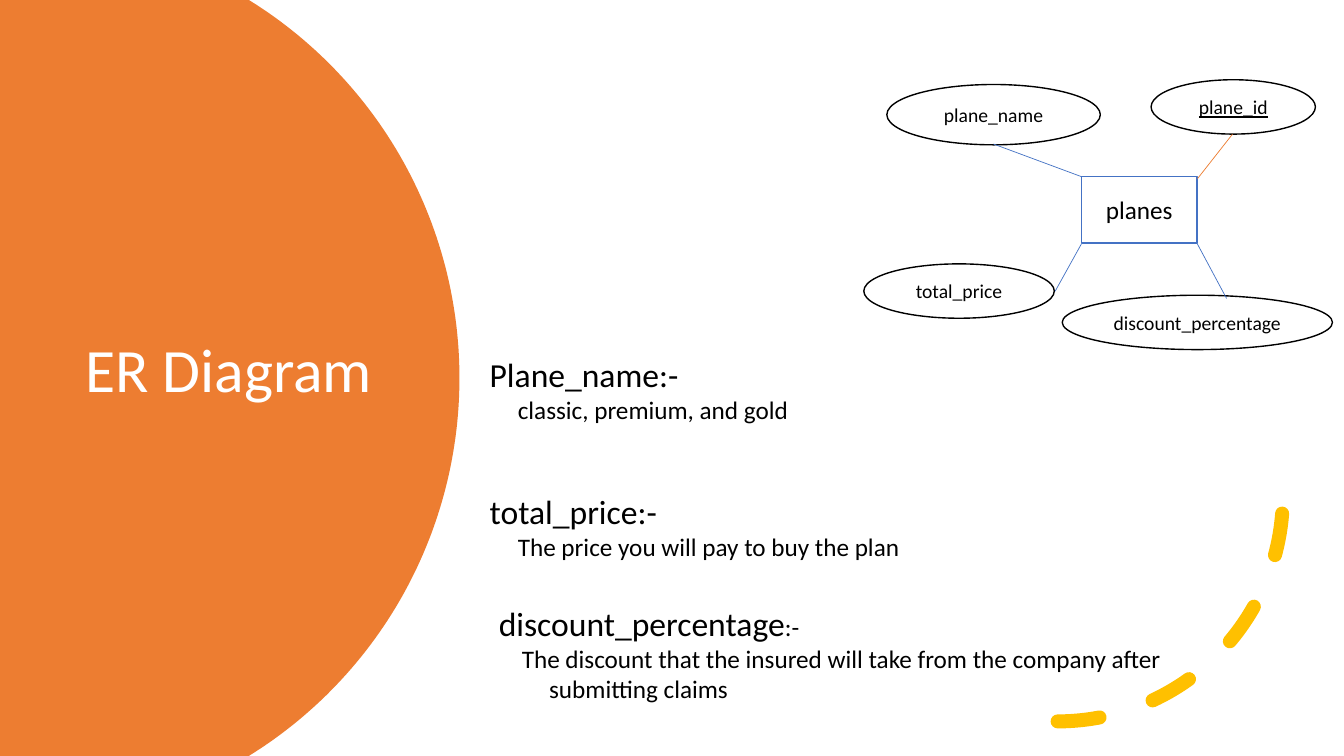
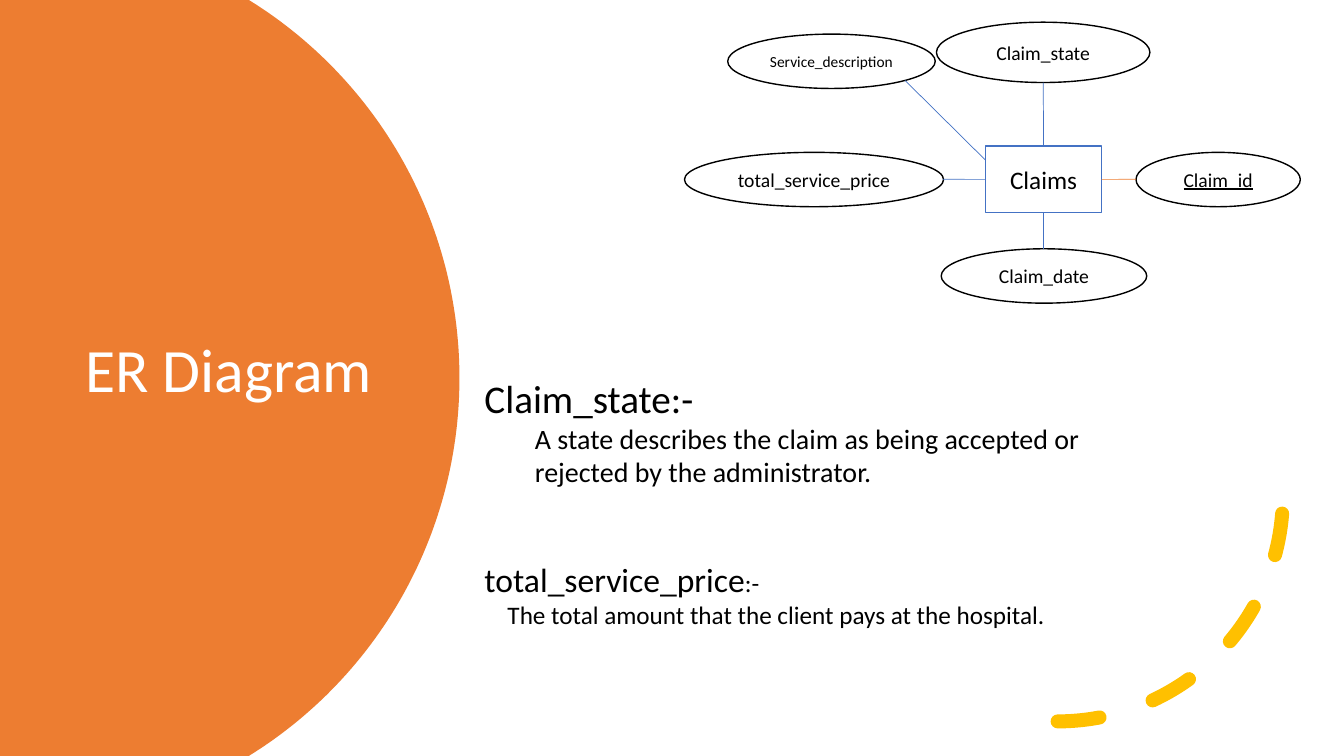
from math import asin, cos, sin

from pptx import Presentation
from pptx.dml.color import RGBColor
from pptx.enum.dml import MSO_LINE
from pptx.enum.shapes import MSO_CONNECTOR as CONN, MSO_SHAPE as SHAPE
from pptx.enum.text import MSO_ANCHOR as ANCHOR, PP_ALIGN as ALIGN
from pptx.oxml.ns import qn
from pptx.util import Cm, Pt

# Shared look
COLORS = {"orange": "ED7D31", "yellow": "FFC000", "blue": "4472C4",
          "black": "000000", "white": "FFFFFF"}
FONT = "Calibri"
WIDTH, HEIGHT = 33.87, 19.05
TOP, LEFT, BOTTOM, RIGHT = range(4)  # connection sites of a rectangle


def rgb(name):
    return RGBColor.from_string(COLORS[name])


def add_run(p, text, size, color="black", underline=False):
    r = p.add_run()
    r.text = text
    r.font.name = FONT
    r.font.size = Pt(size)
    r.font.color.rgb = rgb(color)
    if underline:
        r.font.underline = True


def add_text_box(slide, box):
    s = slide.shapes.add_textbox(*map(Cm, box))
    s.text_frame.word_wrap = True
    return s.text_frame


# Background: orange disc, title and dashed arc
def add_disc(slide):
    cx, cy, radius, steps = 0.38, HEIGHT / 2, 11.2, 120
    reach = asin(cy / radius)
    angles = [reach * (2 * i / steps - 1) for i in range(steps + 1)]
    rim = [(Cm(cx + radius * cos(a)), Cm(cy + radius * sin(a))) for a in angles]
    outline = slide.shapes.build_freeform(0, 0)
    outline.add_line_segments(rim + [(0, Cm(HEIGHT))], close=True)
    s = outline.convert_to_shape()
    s.shadow.inherit = False
    s.fill.solid()
    s.fill.fore_color.rgb = rgb("orange")
    s.line.fill.background()


def add_title(slide, text):
    tf = add_text_box(slide, (1.9, 3.2, 8.89, 12.4))
    tf.vertical_anchor = ANCHOR.MIDDLE
    p = tf.paragraphs[0]
    p.line_spacing = 0.9
    add_run(p, text, 44, "white")


def add_dashed_arc(slide):
    s = slide.shapes.add_shape(SHAPE.ARC, Cm(20.98), Cm(6.83), Cm(11.35), Cm(11.35))
    s.shadow.inherit = False
    s.fill.background()
    s.line.color.rgb = rgb("yellow")
    s.line.width = Pt(10)
    s.line.dash_style = MSO_LINE.DASH
    sp_pr = s._element.spPr
    sp_pr.find(qn("a:ln")).set("cap", "rnd")
    sp_pr.find(qn("a:xfrm")).set("flipV", "1")


def add_er_slide(prs):
    slide = prs.slides.add_slide(prs.slide_layouts[6])
    add_disc(slide)
    add_title(slide, "ER Diagram")
    add_dashed_arc(slide)
    return slide


# Diagram parts
def add_node(slide, kind, box, text, size, line, underline=False):
    s = slide.shapes.add_shape(kind, *map(Cm, box))
    s.shadow.inherit = False
    s.fill.solid()
    s.fill.fore_color.rgb = rgb("white")
    s.line.color.rgb = rgb(line)
    s.line.width = Pt(1)
    tf = s.text_frame
    tf.word_wrap = False
    tf.vertical_anchor = ANCHOR.MIDDLE
    p = tf.paragraphs[0]
    p.alignment = ALIGN.CENTER
    add_run(p, text, size, underline=underline)
    return s


def add_entity(slide, left, top, text):
    return add_node(slide, SHAPE.RECTANGLE, (left, top, 2.92, 1.68), text, 18, "blue")


def add_attribute(slide, text, left, top, width, height=1.37, size=14, key=False):
    add_node(slide, SHAPE.OVAL, (left, top, width, height), text, size, "black", key)


def add_link(slide, start, end, color="blue"):
    s = slide.shapes.add_connector(CONN.STRAIGHT, *map(Cm, start + end))
    s.line.color.rgb = rgb(color)
    s.line.width = Pt(0.5)
    sp_pr = s._element.spPr
    sp_pr.append(sp_pr.makeelement(qn("a:effectLst"), {}))
    return s


# Explanations: a heading and an indented description
def add_definition(slide, box, heading, text, sizes=(24, 18), mark_size=18,
                   margin=0.71, first=0):
    tf = add_text_box(slide, box)
    p = tf.paragraphs[0]
    add_run(p, heading, sizes[0])
    add_run(p, ":-", mark_size)
    p = tf.add_paragraph()
    p_pr = p._p.get_or_add_pPr()
    p_pr.set("marL", str(Cm(margin)))
    p_pr.set("indent", str(Cm(first)))
    add_run(p, text, sizes[1])


def build_planes(prs):
    slide = add_er_slide(prs)
    add_entity(slide, 27.25, 4.45, "planes")
    add_attribute(slide, "discount_percentage", 26.77, 7.44, 6.81)
    add_attribute(slide, "total_price", 21.77, 6.65, 4.8)
    add_attribute(slide, "plane_id", 29.01, 2.01, 4.14, key=True)
    add_attribute(slide, "plane_name", 22.35, 2.13, 5.38, 1.52)
    add_link(slide, (30.15, 6.1), (30.91, 7.52))
    add_link(slide, (27.25, 6.15), (26.59, 7.34))
    add_link(slide, (31.06, 3.38), (30.18, 4.5), "orange")
    add_link(slide, (25.04, 3.63), (27.25, 4.45))

    add_definition(slide, (12.09, 8.79, 10.57, 2.82), "Plane_name",
                   "classic, premium, and gold", mark_size=24)
    add_definition(slide, (12.09, 12.24, 11.35, 2.82), "total_price",
                   "The price you will pay to buy the plan", mark_size=24)
    add_definition(slide, (12.32, 15.06, 17.58, 2.82), "discount_percentage",
                   "The discount that the insured will take from the company "
                   "after submitting claims", margin=1.27, first=-0.69)


def build_claims(prs):
    slide = add_er_slide(prs)
    claims = add_entity(slide, 24.84, 3.68, "Claims")
    add_attribute(slide, "Claim_date", 23.72, 6.27, 5.18)
    add_attribute(slide, "Claim_id", 28.63, 3.84, 4.14, key=True)
    add_attribute(slide, "Claim_state", 23.6, 0.56, 5.38, 1.52)
    add_attribute(slide, "total_service_price", 17.25, 3.84, 6.53)
    add_attribute(slide, "Service_description", 18.34, 0.86, 5.23, size=11)
    for site, start, end, color in (
            (BOTTOM, (26.3, 5.36), (26.3, 6.27), "blue"),
            (LEFT, (24.84, 4.52), (23.76, 4.52), "blue"),
            (RIGHT, (27.76, 4.52), (28.63, 4.52), "orange"),
            (TOP, (26.3, 3.68), (26.29, 2.08), "blue")):
        add_link(slide, start, end, color).begin_connect(claims, site)
    add_link(slide, (22.81, 2.03), (24.84, 4.04))

    add_definition(slide, (11.96, 9.3, 16.66, 3.18), "Claim_state",
                   "A state describes the claim as being accepted or rejected "
                   "by the administrator.", (28, 20), 28, 1.27)
    add_definition(slide, (11.96, 13.97, 16.46, 2.06), "total_service_price",
                   "The total amount that the client pays at the hospital.",
                   margin=0.58)


def main():
    prs = Presentation()
    prs.slide_width, prs.slide_height = Cm(WIDTH), Cm(HEIGHT)
    build_planes(prs)
    build_claims(prs)
    prs.save("out.pptx")


if __name__ == "__main__":
    main()
